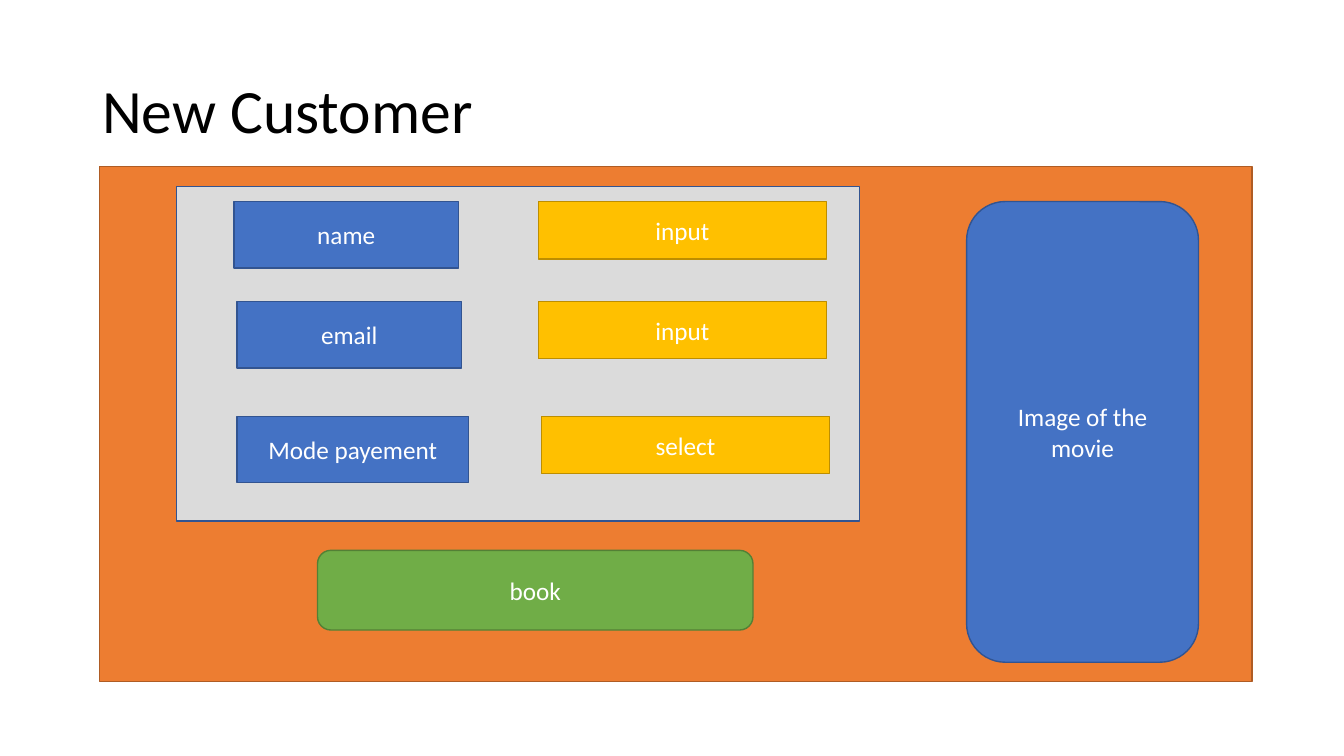
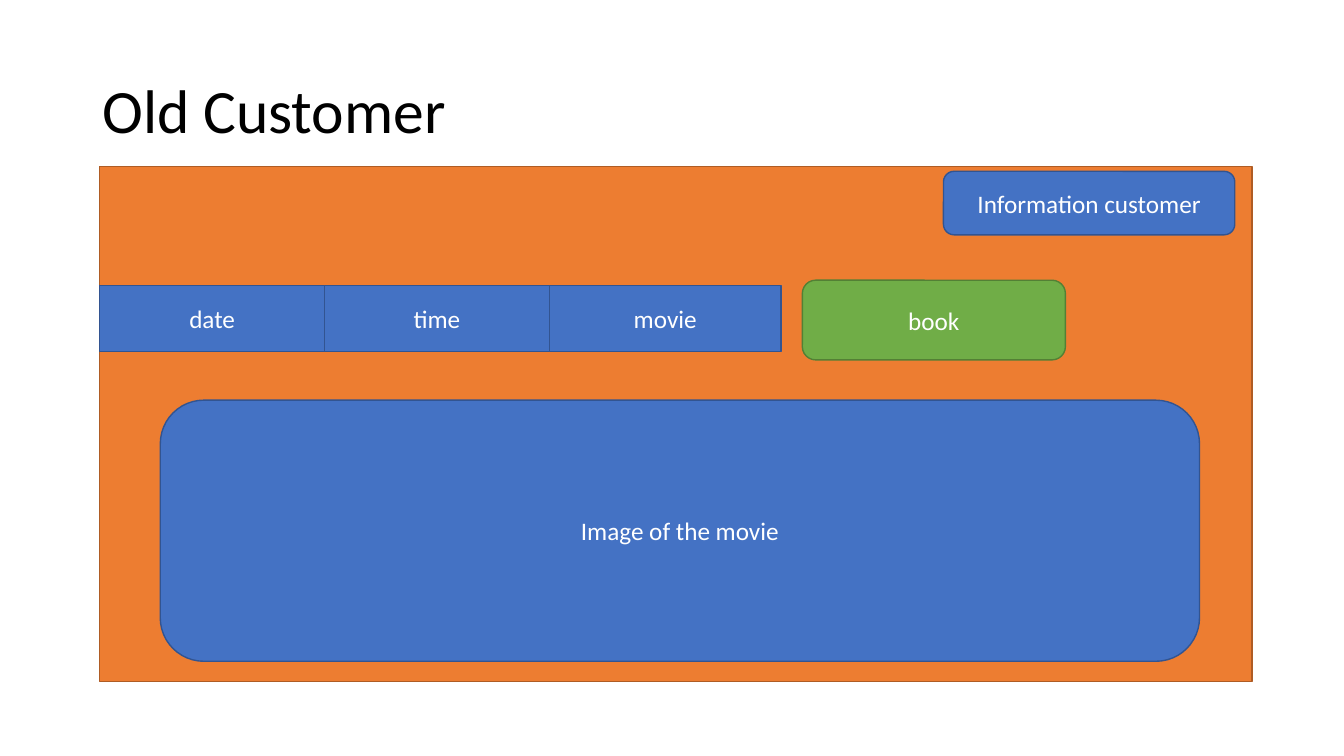
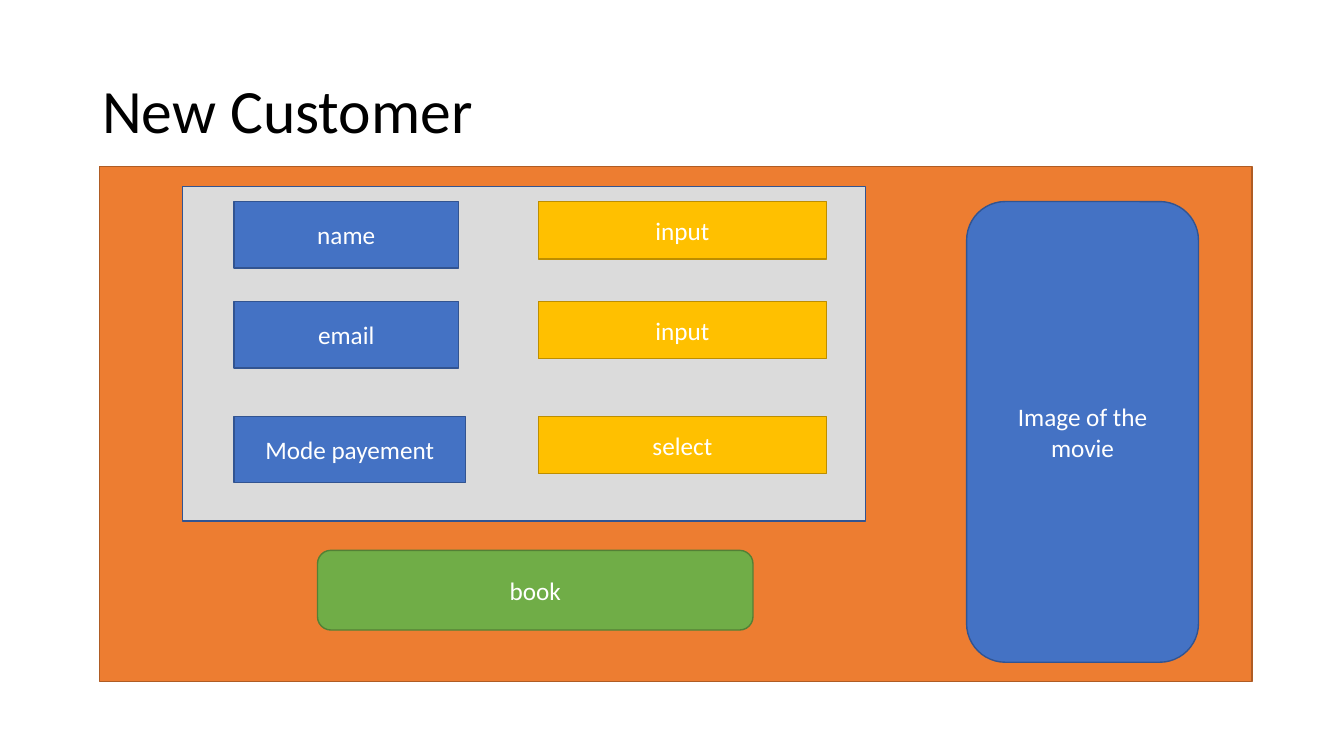
import pptx
import pptx.util
import pptx.dml.color
import pptx.enum.shapes
import pptx.enum.text

Pt = pptx.util.Pt
RECT = pptx.enum.shapes.MSO_SHAPE.RECTANGLE
ROUND = pptx.enum.shapes.MSO_SHAPE.ROUNDED_RECTANGLE
ALIGN = pptx.enum.text.PP_ALIGN
MIDDLE = pptx.enum.text.MSO_ANCHOR.MIDDLE

# Shared look: (fill, line) pairs and boxes as left, top, width, height
FONT = "Calibri"
ORANGE = ("ED7D31", "AF5C24")
BLUE = ("4472C4", "325491")
GREEN = ("70AD47", "538035")
YELLOW = ("FFC000", "BD8E00")
GREY = ("DBDBDB", "325491")
TITLE = (66, 28.8, 828, 104.4)
PANEL = (71.28, 118.8, 822.96, 367.92)
LABEL_W, LABEL_H = 160.56, 47.52
WIDE_LABEL_W = 165.6
FIELD_W, FIELD_H = 205.92, 41.04
BOOK_H = 56.88
ROW_TOPS = (10.8, 82.08, 164.16)


def rgb(value):
    return pptx.dml.color.RGBColor.from_string(value)


def inside(box, left, top, width, height):
    """Turn an offset within a box into a box on the slide."""
    return box[0] + left, box[1] + top, width, height


def write(sp, text, size, color, align):
    tf = sp.text_frame
    tf.word_wrap = True
    tf.vertical_anchor = MIDDLE
    p = tf.paragraphs[0]
    p.text = text
    p.alignment = align
    p.font.name = FONT
    p.font.size = Pt(size)
    p.font.color.rgb = rgb(color)
    return p


def block(s, box, colors, text="", kind=RECT):
    sp = s.shapes.add_shape(kind, *map(Pt, box))
    sp.shadow.inherit = False
    fill, line = colors
    sp.fill.solid()
    sp.fill.fore_color.rgb = rgb(fill)
    sp.line.color.rgb = rgb(line)
    sp.line.width = Pt(1)
    if text:
        write(sp, text, 18, "FFFFFF", ALIGN.CENTER)


def page(prs, title):
    """Add a slide with its title and the orange panel."""
    s = prs.slides.add_slide(prs.slide_layouts[6])
    sp = s.shapes.add_textbox(*map(Pt, TITLE))
    write(sp, title, 44, "000000", ALIGN.LEFT).line_spacing = 0.9
    block(s, PANEL, ORANGE)
    return s


def form(s, box, rows, label_left, field_left):
    """Each row: label, its width and shift, field, its shift."""
    block(s, box, GREY)
    for top, (label, width, label_shift, field, field_shift) in zip(ROW_TOPS, rows):
        block(s, inside(box, label_left + label_shift, top, width, LABEL_H), BLUE, label)
        block(s, inside(box, field_left + field_shift, top, FIELD_W, FIELD_H), YELLOW, field)


def new_customer(prs, form_left, email_shift, payment_shift, select_shift):
    s = page(prs, "New Customer")
    block(s, inside(PANEL, 619.2, 25.2, 165.6, 329.04), BLUE, "Image of the movie", ROUND)
    block(s, inside(PANEL, 155.52, 274.32, 311.04, BOOK_H), GREEN, "book", ROUND)
    rows = [("name", LABEL_W, 0, "input", 0),
            ("email", LABEL_W, email_shift, "input", 0),
            ("Mode payement", WIDE_LABEL_W, payment_shift, "select", select_shift)]
    # The columns keep their place in the panel wherever the form starts
    form(s, inside(PANEL, form_left, 14.4, 488.16, 239.04), rows,
         95.76 - form_left, 313.2 - form_left)


def search_bar(s, box):
    left = 0
    for text, width in (("date", LABEL_W), ("time", LABEL_W), ("movie", WIDE_LABEL_W)):
        block(s, inside(box, left, 0, width, LABEL_H), BLUE, text)
        left += width
    block(s, inside(box, 501.84, -3.6, 187.92, BOOK_H), GREEN, "book", ROUND)


def old_customer(prs):
    s = page(prs, "Old Customer")
    search_bar(s, inside(PANEL, 0, 84.96, 689.76, LABEL_H))
    block(s, inside(PANEL, 43.2, 167.04, 742.32, 186.48), BLUE, "Image of the movie", ROUND)
    block(s, inside(PANEL, 602.64, 3.6, 208.08, 45.36), BLUE, "Information customer", ROUND)


prs = pptx.Presentation()
prs.slide_width, prs.slide_height = Pt(960), Pt(540)
new_customer(prs, 54.72, 2.16, 2.16, 2.16)
old_customer(prs)
new_customer(prs, 59.04, 0, 0, 0)
prs.save("out.pptx")
